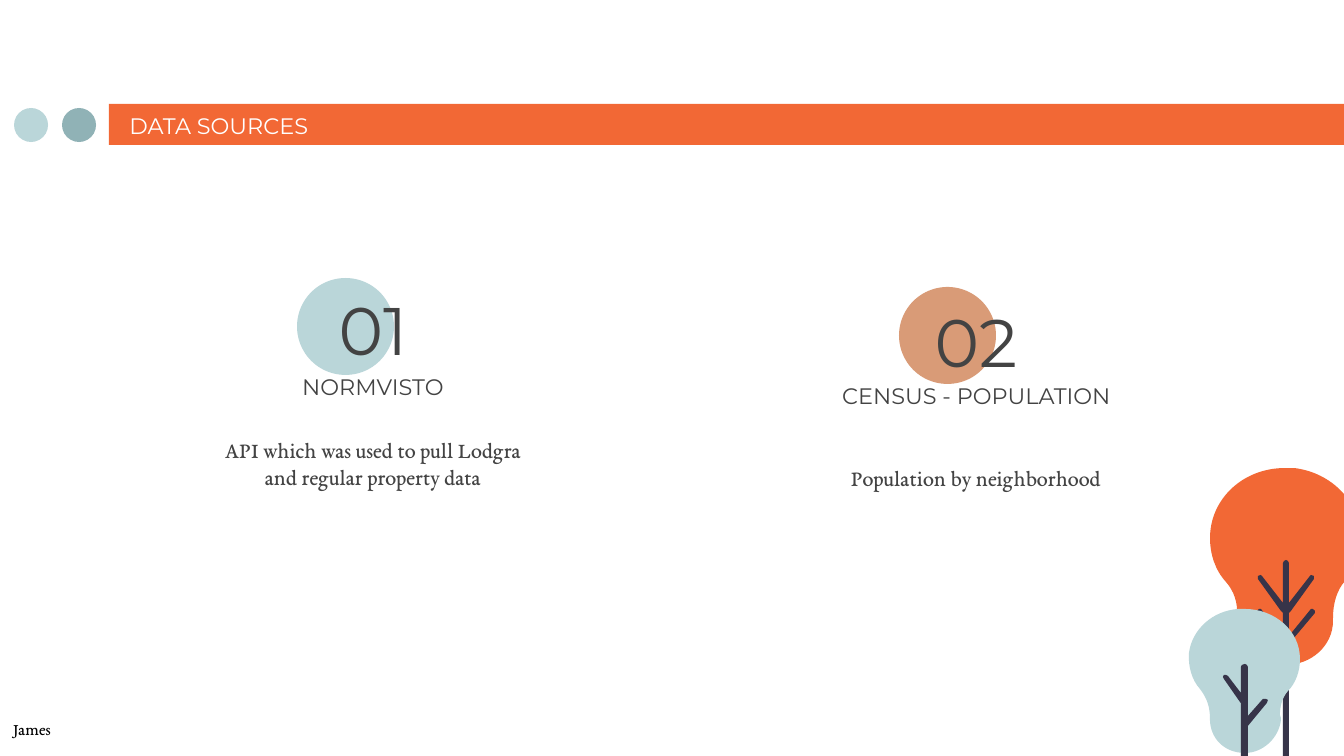
"""Build the data sources slide with two numbered sources and a pair of trees."""
import pptx
import pptx.util
import pptx.dml.color
import pptx.enum.shapes
import pptx.enum.text
import pptx.oxml.ns
import lxml.etree

PX = 914400 / 134.4
THEME = {
    "orange": "F26835", "pale": "BAD6D9", "teal": "90B2B6", "tan": "D99B77",
    "trunk": "373449", "grey": "434343", "white": "FFFFFF", "black": "000000",
    "heading": "Montserrat", "body": "EB Garamond",
    "number size": 36, "text size": 12, "footer size": 9,
}
ANCHOR = pptx.enum.text.MSO_ANCHOR
ALIGN = pptx.enum.text.PP_ALIGN
SHAPE = pptx.enum.shapes.MSO_SHAPE
qn = pptx.oxml.ns.qn


def emu(*lengths):
    return [pptx.util.Emu(round(length * PX)) for length in lengths]


def write(shape, text, font="heading", size="text size", color="grey",
          align=ALIGN.CENTER, anchor=ANCHOR.TOP):
    frame = shape.text_frame
    frame.word_wrap = True
    frame.auto_size = pptx.enum.text.MSO_AUTO_SIZE.NONE
    frame.vertical_anchor = anchor
    frame.margin_left = frame.margin_right = pptx.util.Inches(0.1)
    frame.margin_top = frame.margin_bottom = pptx.util.Inches(0.1)
    frame.text = text
    paragraph = frame.paragraphs[0]
    paragraph.alignment = align
    paragraph.font.name = THEME[font]
    paragraph.font.size = pptx.util.Pt(THEME[size])
    paragraph.font.color.rgb = pptx.dml.color.RGBColor.from_string(THEME[color])


presentation = pptx.Presentation()
presentation.slide_width, presentation.slide_height = emu(1344, 756)
slide = presentation.slides.add_slide(presentation.slide_layouts[5])
shapes = slide.shapes
painted = []

for kind, color, box in [
    (SHAPE.RECTANGLE, "orange", (109, 104, 1277, 41)),
    (SHAPE.OVAL, "teal", (62, 108, 34, 34)),
    (SHAPE.OVAL, "pale", (14, 108, 34, 34)),
    (SHAPE.OVAL, "pale", (297, 278, 97, 97)),
    (SHAPE.OVAL, "tan", (899, 287, 97, 97)),
]:
    painted.append((shapes.add_shape(kind, *emu(*box)), color))

title = shapes.title
title.left, title.top, title.width, title.height = emu(116, 107, 737, 46)
write(title, "DATA SOURCES", color="white", align=ALIGN.LEFT, anchor=ANCHOR.BOTTOM)
title.element.getparent().append(title.element)

number = {"size": "number size", "anchor": ANCHOR.MIDDLE}
name = {"anchor": ANCHOR.BOTTOM}
description = {"font": "body"}
footer = {"font": "body", "size": "footer size", "color": "black", "align": ALIGN.LEFT}
for text, box, style in [
    ("01", (244, 286, 258, 85), number),
    ("NORMVISTO", (197, 329, 352, 85), name),
    ("API which was used to pull Lodgra and regular property data",
     (209, 423, 328, 90), description),
    ("02", (847, 298, 258, 85), number),
    ("CENSUS - POPULATION", (806, 338, 341, 85), name),
    ("Population by neighborhood", (836, 451, 280, 90), description),
    ("James", (0, 705, 132, 47), footer),
]:
    write(shapes.add_textbox(*emu(*box)), text, **style)

large_crown = [
    (1285, 468), (1243, 468, 1210, 499, 1210, 538), (1210, 554, 1215, 570, 1226, 582),
    (1234, 591, 1238, 603, 1237, 616), (1237, 617, 1237, 620, 1237, 622),
    (1237, 647, 1259, 665, 1285, 665), (1312, 665, 1333, 645, 1333, 621), (1333, 618),
    (1333, 603, 1337, 590, 1345, 581), (1357, 566, 1363, 547, 1360, 530),
    (1356, 497, 1328, 472, 1294, 468), (1290, 468, 1288, 468, 1285, 468),
]
half_trunk = [
    (1286, 560), (1284, 561), (1283, 563), (1283, 603), (1262, 576), (1261, 575),
    (1258, 576), (1258, 579), (1281, 611), (1283, 613), (1283, 636), (1261, 609),
    (1259, 609), (1257, 611), (1257, 613), (1283, 644), (1283, 785), (1284, 787),
    (1286, 788),
]
large_trunk = half_trunk + [(2 * 1286 - x, y) for x, y in reversed(half_trunk[1:-1])]
small_crown = [
    (1245, 609), (1242, 609, 1240, 609, 1238, 609), (1212, 611, 1192, 630, 1189, 653),
    (1188, 667, 1192, 680, 1200, 689), (1207, 698, 1210, 707, 1210, 718), (1210, 719),
    (1210, 738, 1224, 753, 1245, 753), (1263, 753, 1279, 738, 1281, 720),
    (1281, 719, 1281, 716, 1280, 715), (1280, 707, 1282, 698, 1288, 691),
    (1296, 683, 1300, 671, 1300, 659), (1300, 630, 1274, 609, 1245, 609),
]
small_trunk = [
    (1245, 664), (1242, 665), (1241, 667), (1241, 693), (1228, 676), (1226, 675),
    (1224, 675), (1223, 677), (1224, 679), (1240, 702), (1241, 703), (1241, 797),
    (1242, 799), (1245, 800), (1247, 799), (1248, 797), (1248, 726), (1267, 703),
    (1268, 700), (1266, 699), (1263, 699), (1248, 716), (1248, 667), (1247, 665),
]

for crown_color, crown, trunk in [
    ("orange", large_crown, large_trunk),
    ("pale", small_crown, small_trunk),
]:
    tree = shapes.add_group_shape()
    for color, outline in [(crown_color, crown), ("trunk", trunk)]:
        start, *segments = outline
        builder = tree.shapes.build_freeform(*emu(*start))
        builder.add_line_segments([emu(*segment[-2:]) for segment in segments], close=True)
        shape = builder.convert_to_shape()
        lines = list(shape.element.iter(qn("a:lnTo")))
        for line, segment in zip(lines, segments):
            if len(segment) == 6:
                line.clear()
                line.tag = qn("a:cubicBezTo")
                lengths = emu(*segment)
                for x, y in zip(lengths[::2], lengths[1::2]):
                    lxml.etree.SubElement(line, qn("a:pt"), x=str(x - shape.left),
                                          y=str(y - shape.top))
        painted.append((shape, color))

for shape, color in painted:
    shape.shadow.inherit = False
    shape.fill.solid()
    shape.fill.fore_color.rgb = pptx.dml.color.RGBColor.from_string(THEME[color])
    shape.line.fill.background()

presentation.save("out.pptx")
